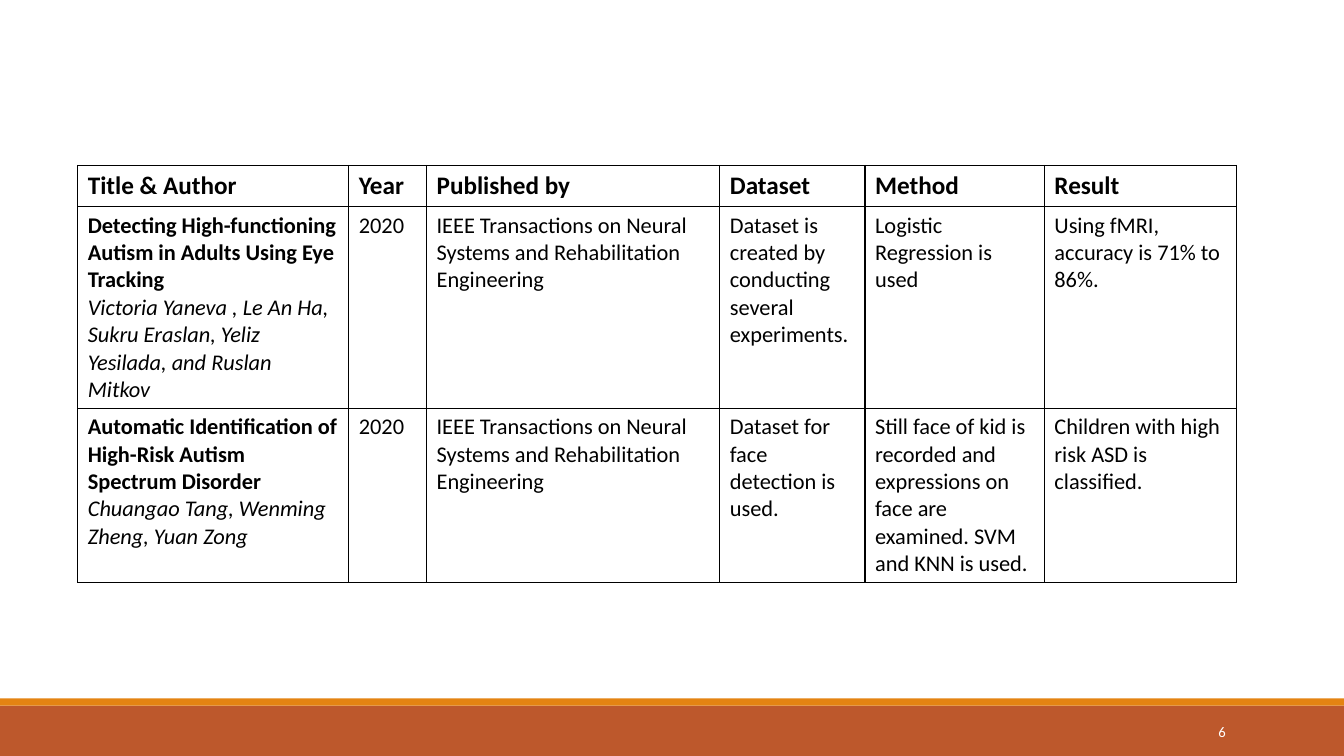
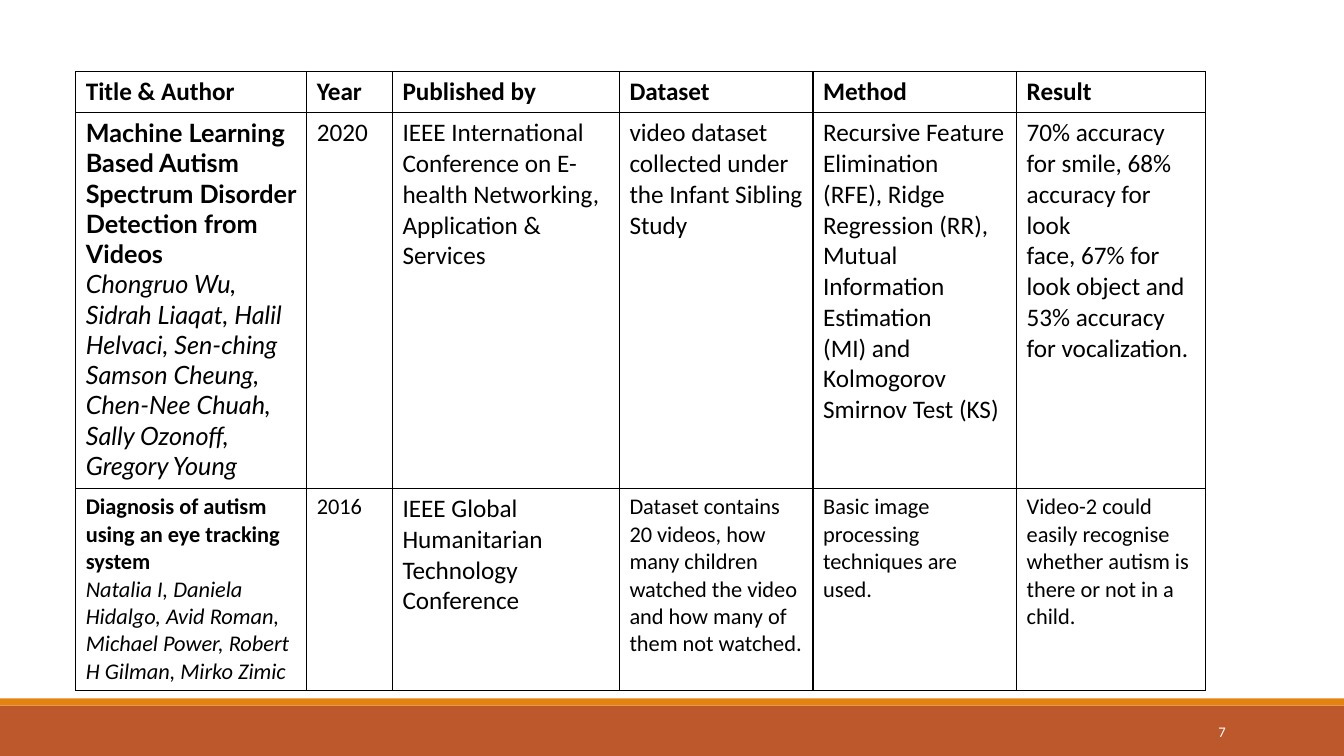
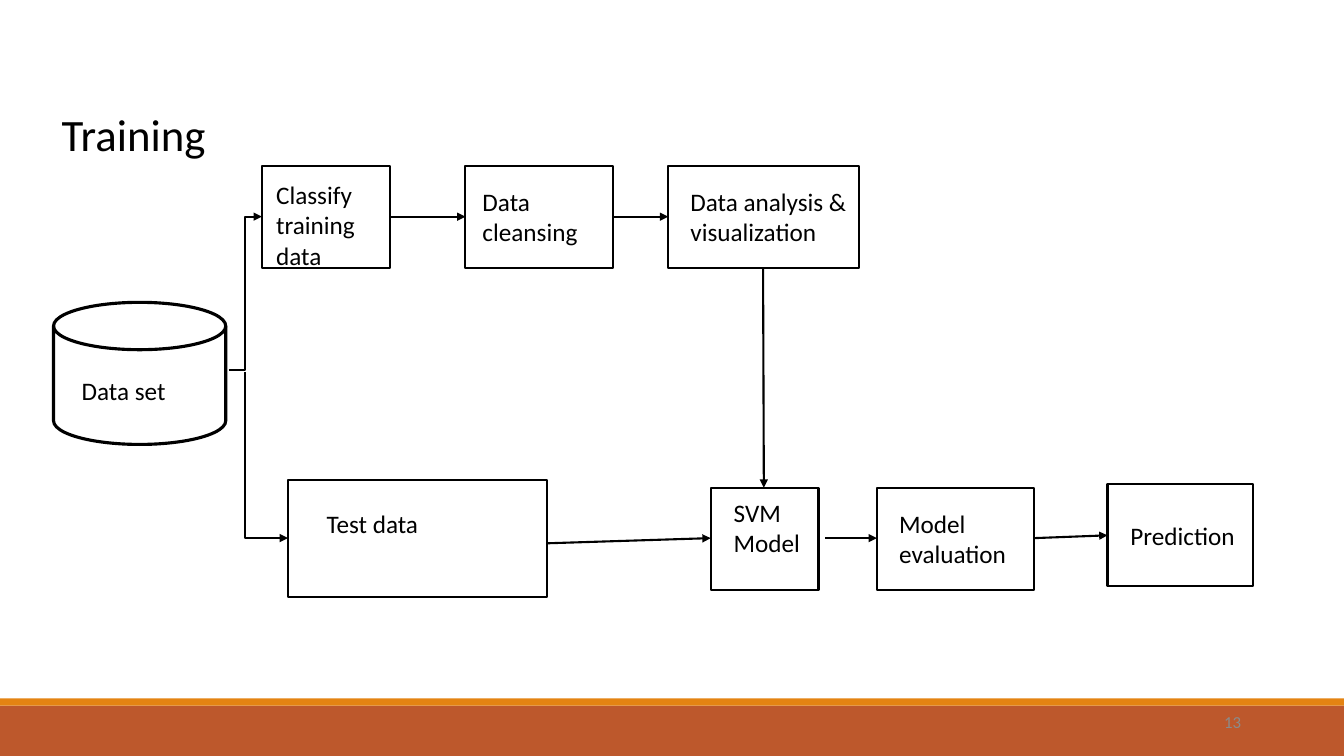
from pptx import Presentation
from pptx.dml.color import RGBColor
from pptx.enum.shapes import MSO_CONNECTOR, MSO_SHAPE
from pptx.enum.text import MSO_ANCHOR, MSO_AUTO_SIZE, PP_ALIGN
from pptx.oxml import parse_xml
from pptx.oxml.ns import nsdecls, qn
from pptx.util import Cm, Pt
from lxml.etree import SubElement

BLACK = RGBColor(0x00, 0x00, 0x00)
WHITE = RGBColor(0xFF, 0xFF, 0xFF)
GREY = RGBColor(0x8B, 0x8B, 0x8B)
RUST = RGBColor(0xBD, 0x58, 0x2C)
AMBER = RGBColor(0xE4, 0x83, 0x12)
FONT = "Calibri"
HEADS = ["Title & Author", "Year", "Published by", "Dataset", "Method", "Result"]


def style(frame, size, color=BLACK, face=FONT):
    """Set size, colour and face of every run in a text frame."""
    for para in frame.paragraphs:
        for run in para.runs:
            run.font.size = Pt(size)
            run.font.color.rgb = color
            run.font.name = face


def add_grid(slide, left, top, widths, heights, rows):
    """Add a black-ruled table with bold heads, bold titles and italic authors."""
    frame = slide.shapes.add_table(
        len(rows), len(widths), Cm(left), Cm(top), Cm(sum(widths)), Cm(sum(heights)))
    grid = frame.table
    grid.first_row = grid.horz_banding = False
    for col, width in zip(grid.columns, widths):
        col.width = Cm(width)
    for r, (size, texts) in enumerate(rows):
        grid.rows[r].height = Cm(heights[r])
        for c, text in enumerate(texts):
            cell = grid.cell(r, c)
            cell.text_frame.text = text
            style(cell.text_frame, size)
            for n, para in enumerate(cell.text_frame.paragraphs):
                para.font.bold = para.runs[0].font.bold = r == 0 or (c == 0 and n == 0)
                para.runs[0].font.italic = r > 0 and c == 0 and n == 1
            cell.fill.background()
            props = cell._tc.get_or_add_tcPr()
            for n, side in enumerate(["lnL", "lnR", "lnT", "lnB"]):
                props.insert(n, parse_xml(
                    f'<a:{side} {nsdecls("a")} w="12700"><a:solidFill>'
                    f'<a:srgbClr val="{BLACK}"/></a:solidFill></a:{side}>'))
    return grid


prs = Presentation()
prs.slide_width = Cm(33.87)
prs.slide_height = Cm(19.05)
blank, titled = prs.slide_layouts[6], prs.slide_layouts[5]
first, second, third = [prs.slides.add_slide(lay) for lay in (blank, blank, titled)]

# Bands live on the master, so every slide shows them
for top, height, color in [(17.78, 1.27, RUST), (17.6, 0.18, AMBER)]:
    band = first.shapes.add_shape(
        MSO_SHAPE.RECTANGLE, 0, Cm(top), prs.slide_width, Cm(height))
    band.shadow.inherit = False
    band.fill.solid()
    band.fill.fore_color.rgb = color
    band.line.fill.background()
    prs.slide_master.shapes.element.append(band.element)

# Page numbers
for slide, page, left, top, size, color in [
    (first, "6", 27.51, 17.93, 10.5, WHITE),
    (second, "7", 27.51, 17.93, 10.5, WHITE),
    (third, "13", 27.9, 17.68, 12, GREY),
]:
    box = slide.shapes.add_textbox(Cm(left), Cm(top), Cm(3.63), Cm(1.02))
    frame = box.text_frame
    frame.word_wrap = True
    frame.vertical_anchor = MSO_ANCHOR.MIDDLE
    frame.text = page
    frame.paragraphs[0].alignment = PP_ALIGN.RIGHT
    style(frame, size, color)

# Literature tables
journal = "IEEE Transactions on Neural Systems and Rehabilitation Engineering"
add_grid(first, 1.96, 4.17, [6.83, 1.96, 7.39, 3.66, 4.52, 4.85], [1.04, 5.08, 4.39], [
    (18, HEADS),
    (16, [
        "Detecting High-functioning Autism in Adults Using Eye Tracking\n"
        "Victoria Yaneva , Le An Ha, Sukru Eraslan, Yeliz Yesilada, and Ruslan Mitkov",
        "2020",
        journal,
        "Dataset is created by conducting several experiments.",
        "Logistic Regression is used",
        "Using fMRI, accuracy is 71% to 86%.",
    ]),
    (16, [
        "Automatic Identification of High-Risk Autism Spectrum Disorder\n"
        "Chuangao Tang, Wenming Zheng, Yuan Zong",
        "2020",
        journal,
        "Dataset for face detection is used.",
        "Still face of kid is recorded and expressions on face are examined. "
        "SVM and KNN is used.",
        "Children with high risk ASD is classified.",
    ]),
])

grid = add_grid(second, 1.91, 1.8, [5.82, 2.16, 5.72, 4.88, 5.13, 4.75], [1.04, 9.47, 5.08], [
    (18, HEADS),
    (18, [
        "Machine Learning Based Autism Spectrum Disorder Detection from Videos\n"
        "Chongruo Wu, Sidrah Liaqat, Halil Helvaci, Sen-ching Samson Cheung, "
        "Chen-Nee Chuah, Sally Ozonoff, Gregory Young",
        "2020",
        "IEEE International Conference on E-health Networking, Application & Services",
        "video dataset collected under\nthe Infant Sibling Study",
        "Recursive Feature Elimination\n"
        "(RFE), Ridge Regression (RR), Mutual Information Estimation\n"
        "(MI) and Kolmogorov Smirnov Test (KS)",
        "70% accuracy for smile, 68% accuracy for look\n"
        "face, 67% for look object and 53% accuracy for vocalization.",
    ]),
    (16, [
        "Diagnosis of autism using an eye tracking system\n"
        "Natalia I, Daniela Hidalgo, Avid Roman, Michael Power, Robert H Gilman, Mirko Zimic",
        "2016",
        "IEEE Global Humanitarian Technology Conference",
        "Dataset contains 20 videos, how many children watched the video "
        "and how many of them not watched.",
        "Basic image processing techniques are used.",
        "Video-2 could easily recognise whether autism is there or not in a child.",
    ]),
])
style(grid.cell(1, 0).text_frame, 18, face="Lato")
style(grid.cell(2, 2).text_frame, 18)

# Training flow
title = third.shapes.title
title.left, title.top, title.width, title.height = Cm(1.3), Cm(2.57), Cm(4.47), Cm(1.63)
frame = title.text_frame
frame.text = "Training"
frame.auto_size = MSO_AUTO_SIZE.NONE
frame.vertical_anchor = MSO_ANCHOR.TOP
frame.paragraphs[0].alignment = PP_ALIGN.LEFT
style(frame, 32)

RECT, DISK = MSO_SHAPE.RECTANGLE, MSO_SHAPE.FLOWCHART_MAGNETIC_DISK
# text, kind, left, top, width, height, left inset, top inset, line width
for text, kind, left, top, width, height, inset, drop, line in [
    ("Classify training data", RECT, 6.6, 4.19, 3.23, 2.57, 0.36, 0.33, 1.5),
    ("Data cleansing", RECT, 11.73, 4.19, 3.73, 2.57, 0.43, 0.51, 1.5),
    ("Data analysis & visualization", RECT, 16.84, 4.19, 4.8, 2.57, 0.56, 0.51, 1.5),
    ("Data set", DISK, 1.35, 7.62, 4.34, 3.58, 0.71, 0.64, 2.25),
    ("Test data", RECT, 7.26, 12.09, 6.53, 2.95, 0.97, 0.71, 1.5),
    ("SVM Model", RECT, 17.91, 12.29, 2.72, 2.57, 0.58, 0.23, 1.5),
    ("Model evaluation", RECT, 22.1, 12.29, 3.96, 2.57, 0.56, 0.51, 1.5),
    ("Prediction", RECT, 27.91, 12.19, 3.66, 2.57, 0.58, 0.91, 1.5),
]:
    step = third.shapes.add_shape(kind, Cm(left), Cm(top), Cm(width), Cm(height))
    step.shadow.inherit = False
    step.fill.solid()
    step.fill.fore_color.rgb = WHITE
    step.line.color.rgb = BLACK
    step.line.width = Pt(line)
    frame = step.text_frame
    frame.word_wrap = True
    frame.vertical_anchor = MSO_ANCHOR.TOP
    frame.margin_left, frame.margin_top = Cm(inset), Cm(drop)
    frame.margin_right = frame.margin_bottom = 0
    frame.text = text
    frame.paragraphs[0].alignment = PP_ALIGN.LEFT
    style(frame, 18)

LINE, BENT = MSO_CONNECTOR.STRAIGHT, MSO_CONNECTOR.ELBOW
for kind, *ends in [
    (LINE, 9.83, 5.46, 11.73, 5.46),
    (LINE, 15.47, 5.46, 16.84, 5.46),
    (LINE, 19.23, 6.76, 19.25, 12.29),
    (LINE, 13.79, 13.69, 17.91, 13.56),
    (LINE, 20.8, 13.56, 22.1, 13.56),
    (LINE, 26.06, 13.56, 27.91, 13.49),
    (BENT, 5.77, 9.32, 6.6, 5.46),
    (BENT, 8.81, 10.92, 4.62, 12.01),
]:
    arrow = third.shapes.add_connector(kind, *[Cm(end) for end in ends])
    arrow.line.color.rgb = BLACK
    arrow.line.width = Pt(1.5)
    SubElement(arrow.line._get_or_add_ln(), qn("a:tailEnd"), type="triangle")
    SubElement(arrow.element.spPr, qn("a:effectLst"))

# The last arrow has a single bend: a quarter turn makes it run down, then right
props = arrow.element.spPr
props.find(qn("a:xfrm")).set("rot", "16200000")
props.find(qn("a:prstGeom")).set("prst", "bentConnector2")

prs.save("out.pptx")
